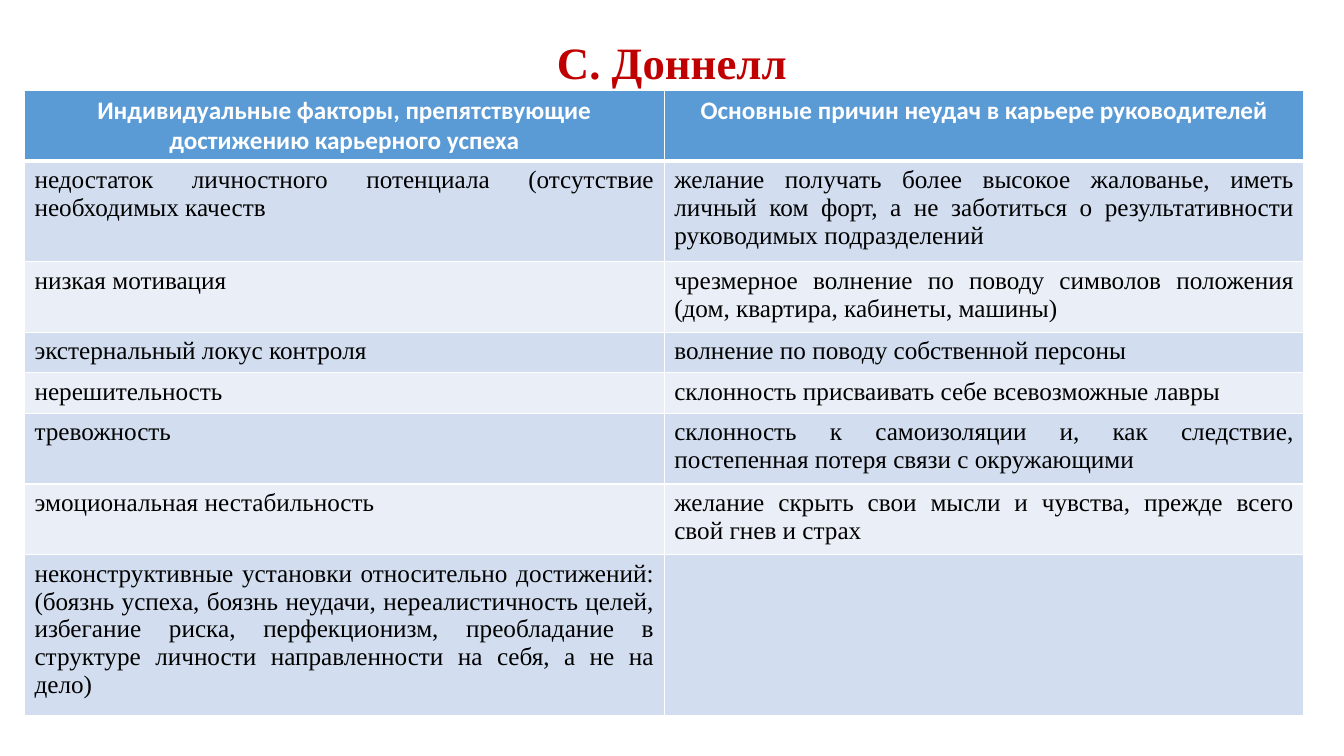
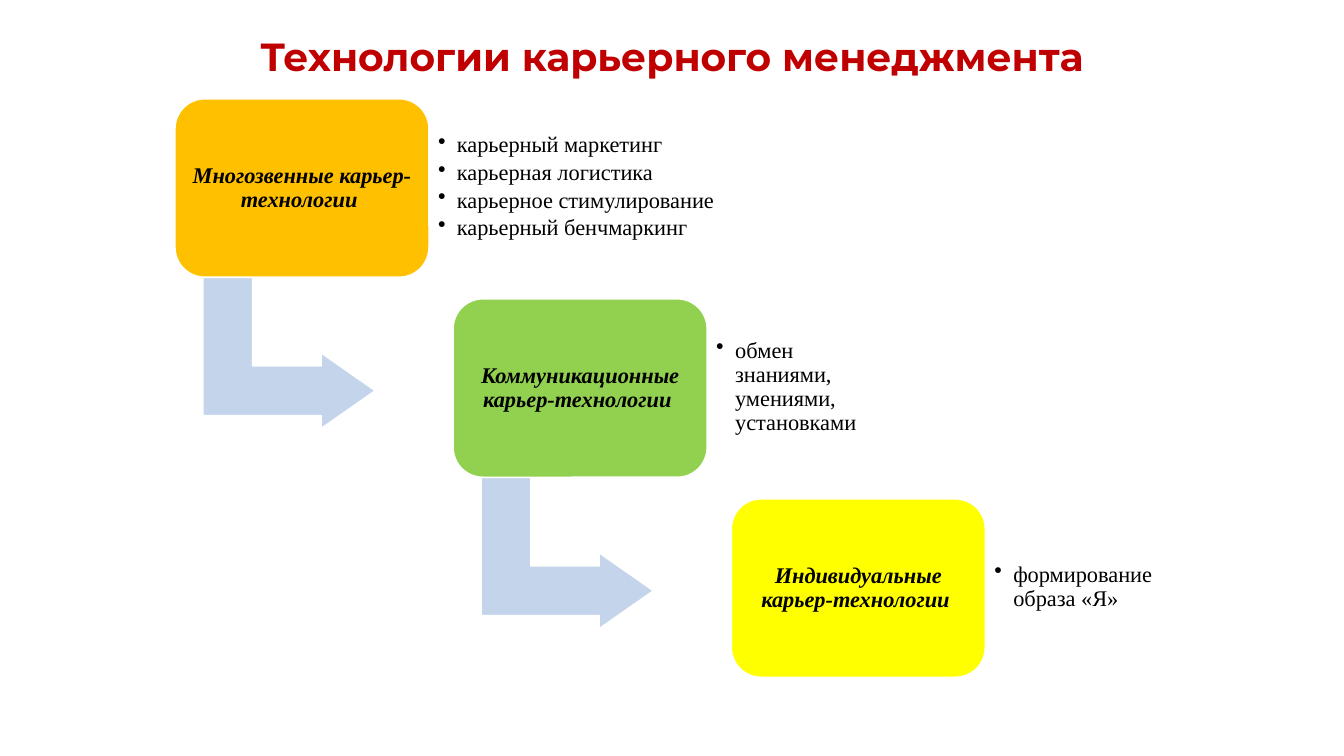
"""Builds two slides on career management."""
import lxml.etree
import pptx
import pptx.dml.color
import pptx.enum.shapes
import pptx.enum.text
import pptx.oxml.ns
import pptx.util

Pt = pptx.util.Pt
ALIGN = pptx.enum.text.PP_ALIGN
MIDDLE = pptx.enum.text.MSO_ANCHOR.MIDDLE
SHAPES = pptx.enum.shapes.MSO_SHAPE
SERIF = "Times New Roman"
WHITE, BLACK, RED = "FFFFFF", "000000", "C00000"
HEADER, BANDS, ARROW = "5B9BD5", ("D2DEEF", "EAEFF7"), "C4D5EB"
CARD_WIDTH, CARD_HEIGHT = 181.4, 127.4

ROW_HEIGHTS = (50, 67, 47, 29, 29, 47, 47, 107)
ROWS = (
    ("Индивидуальные факторы, препятствующие достижению карьерного успеха",
     "Основные причин неудач в карьере руководителей"),
    ("недостаток личностного потенциала (отсутствие необходимых качеств",
     "желание получать более высокое жалованье, иметь личный ком форт, "
     "а не заботиться о результативности руководимых подразделений"),
    ("низкая мотивация",
     "чрезмерное волнение по поводу символов положения "
     "(дом, квартира, кабинеты, машины)"),
    ("экстернальный локус контроля", "волнение по поводу собственной персоны"),
    ("нерешительность", "склонность присваивать себе всевозможные лавры"),
    ("тревожность",
     "склонность к самоизоляции и, как следствие, "
     "постепенная потеря связи с окружающими"),
    ("эмоциональная нестабильность",
     "желание скрыть свои мысли и чувства, прежде всего свой гнев и страх"),
    ("неконструктивные установки относительно достижений: (боязнь успеха, "
     "боязнь неудачи, нереалистичность целей, избегание риска, перфекционизм, "
     "преобладание в структуре личности направленности на себя, а не на дело)",
     ""),
)
STEPS = (
    ("Многозвенные карьер-технологии\u00a0", "FFC000", 336,
     ("карьерный маркетинг", "карьерная логистика",
      "карьерное стимулирование", "карьерный бенчмаркинг")),
    ("Коммуникационные карьер-технологии\u00a0", "92D050", 132,
     ("обмен знаниями, умениями, установками",)),
    ("Индивидуальные карьер-технологии\u00a0", "FFFF00", 132,
     ("формирование образа «Я»",)),
)


def color(code):
    """Turn a hex string into a colour."""
    return pptx.dml.color.RGBColor.from_string(code)


def add_xml(parent, tag, **attributes):
    """Append a DrawingML element and return it."""
    name = pptx.oxml.ns.qn("a:" + tag)
    return lxml.etree.SubElement(parent, name, attributes)


def style(para, size, code, font=SERIF, align=ALIGN.LEFT, bold=False,
          italic=False, line=None, after=None):
    """Set the font and spacing of a paragraph."""
    para.alignment = align
    para.line_spacing = line
    para.space_after = None if after is None else Pt(after)
    para.font.name = font
    para.font.size = Pt(size)
    para.font.bold = bold
    para.font.italic = italic
    para.font.color.rgb = color(code)


def prepare_frame(box, inset=None):
    """Wrap and centre the text of a box vertically, and return its frame."""
    frame = box.text_frame
    frame.word_wrap = True
    frame.vertical_anchor = MIDDLE
    if inset is not None:
        frame.margin_left = frame.margin_right = Pt(inset)
        frame.margin_top = frame.margin_bottom = Pt(inset)
    return frame


def add_title(page, text, size, height, font):
    """Add the red centred title."""
    box = page.shapes.add_textbox(Pt(66), Pt(28.8), Pt(828), Pt(height))
    frame = prepare_frame(box)
    frame.text = text
    style(frame.paragraphs[0], size, RED, font, ALIGN.CENTER, bold=True, line=0.9)


def add_shape(page, kind, left, top, width, height, fill, adjustments):
    """Add a filled preset shape with a thin white outline."""
    shape = page.shapes.add_shape(kind, Pt(left), Pt(top), Pt(width), Pt(height))
    shape.shadow.inherit = False
    shape.fill.solid()
    shape.fill.fore_color.rgb = color(fill)
    shape.line.color.rgb = color(WHITE)
    shape.line.width = Pt(1)
    for index, value in enumerate(adjustments):
        shape.adjustments[index] = value
    return shape


def add_card(page, left, top, text, fill):
    """Add a rounded card with its heading."""
    card = add_shape(page, SHAPES.ROUNDED_RECTANGLE, left, top,
                     CARD_WIDTH, CARD_HEIGHT, fill, (0.167,))
    frame = prepare_frame(card, 5)
    frame.text = text
    style(frame.paragraphs[0], 16, BLACK, align=ALIGN.CENTER, bold=True,
          italic=True, line=0.9, after=5.6)


def add_bullets(page, left, top, width, items):
    """Add a bulleted list beside a card."""
    box = page.shapes.add_textbox(Pt(left), Pt(top), Pt(width), Pt(103))
    frame = prepare_frame(box, 5)
    frame.text = "\n".join(items)
    for para in frame.paragraphs:
        properties = para._p.get_or_add_pPr()
        properties.set("marL", str(Pt(13.5)))
        properties.set("indent", str(-Pt(13.5)))
        add_xml(properties, "buChar", char="•")
        style(para, 16, BLACK, line=0.9, after=2.4)


def add_borders(cell, top, bottom):
    """Draw white cell borders, 1 point wide at the sides."""
    properties = cell._tc.get_or_add_tcPr()
    for side, width in (("L", 1), ("R", 1), ("T", top), ("B", bottom)):
        border = add_xml(properties, "ln" + side, w=str(Pt(width)))
        add_xml(add_xml(border, "solidFill"), "srgbClr", val=WHITE)


def add_factor_table(page):
    """Add the two-column table of factors and reasons."""
    table = page.shapes.add_table(len(ROWS), 2, Pt(17.5), Pt(64.4), Pt(914),
                                  Pt(sum(ROW_HEIGHTS))).table
    for column in table.columns:
        column.width = Pt(457)
    for index, (texts, height) in enumerate(zip(ROWS, ROW_HEIGHTS)):
        table.rows[index].height = Pt(height)
        heading = index == 0
        for cell, text in zip(table.rows[index].cells, texts):
            add_borders(cell, 3 if index == 1 else 1, 3 if heading else 1)
            cell.fill.solid()
            cell.fill.fore_color.rgb = color(HEADER if heading else BANDS[(index - 1) % 2])
            cell.text = text
            para = cell.text_frame.paragraphs[0]
            if heading:
                style(para, 18, WHITE, "Calibri", ALIGN.CENTER, bold=True)
            else:
                style(para, 18, BLACK, align=ALIGN.JUSTIFY)


def add_staircase(page):
    """Add the descending cards, their lists and the arrows between them."""
    for index, (heading, fill, width, items) in enumerate(STEPS):
        left, top = 125 + 198.7 * index, 70.6 + 142.9 * index
        if index < len(STEPS) - 1:
            arrow = add_shape(page, SHAPES.BENT_UP_ARROW, left + 27.5, top + 120,
                              108, 123, ARROW, (0.328, 0.25, 0.358))
            arrow.rotation = 90
        add_card(page, left, top, heading, fill)
        add_bullets(page, left + CARD_WIDTH + 1.5, top + 11.5, width, items)


def main():
    """Build and save the deck."""
    deck = pptx.Presentation()
    deck.slide_width, deck.slide_height = Pt(960), Pt(540)
    blank = deck.slide_layouts[6]
    page = deck.slides.add_slide(blank)
    add_title(page, "С. Доннелл", 32, 34.6, SERIF)
    add_factor_table(page)
    page = deck.slides.add_slide(blank)
    add_title(page, "Технологии карьерного менеджмента", 28, 26.6, "Montserrat")
    add_staircase(page)
    deck.save("out.pptx")


main()
